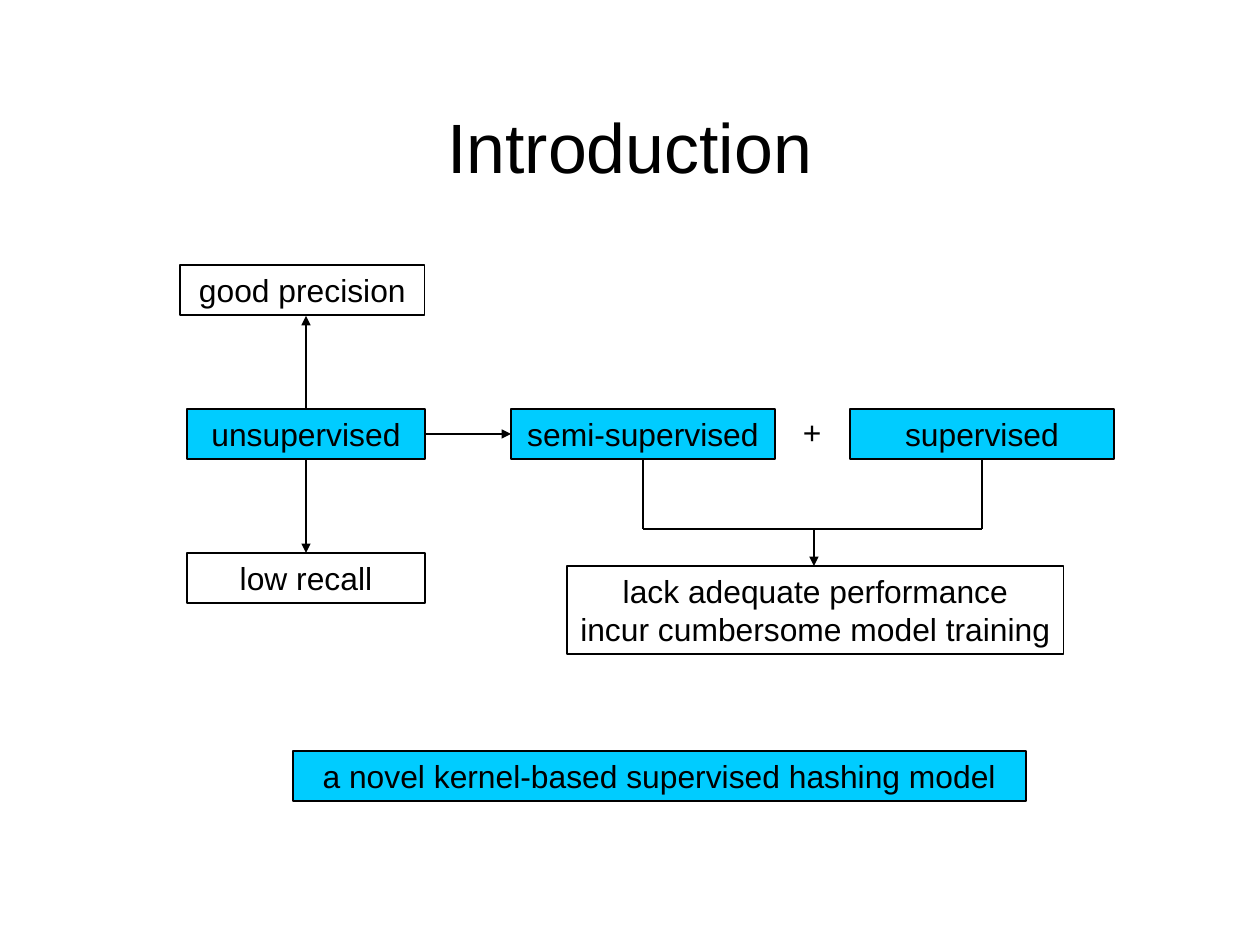
from lxml import etree
from pptx import Presentation
from pptx import util as u
from pptx.dml.color import RGBColor
from pptx.enum import shapes, text
from pptx.oxml import ns

PX = 8000
BLACK = RGBColor(0x00, 0x00, 0x00)
WHITE = RGBColor(0xFF, 0xFF, 0xFF)
CYAN = RGBColor(0x00, 0xCC, 0xFF)
TOP, LEFT, BOTTOM, RIGHT = range(4)


def px(*lengths):
    """Turn lengths in px into EMU."""
    return [u.Emu(length * PX) for length in lengths]


def write(shape, lines, size=20, align=text.PP_ALIGN.CENTER, insets=(11, 6, 11, 6)):
    """Write one paragraph for each line into a shape."""
    frame = shape.text_frame
    frame.word_wrap = False
    frame.vertical_anchor = text.MSO_ANCHOR.MIDDLE
    (frame.margin_left, frame.margin_top,
     frame.margin_right, frame.margin_bottom) = px(*insets)
    frame.text = "\n".join(lines)
    for paragraph in frame.paragraphs:
        paragraph.alignment = align
        paragraph.font.size = u.Pt(size)
        paragraph.font.name = "Arial"
        paragraph.font.color.rgb = BLACK


def add_label(slide, place, label, **style):
    """Add a text box with one line of text."""
    shape = slide.shapes.add_textbox(*px(*place))
    write(shape, [label], **style)
    return shape


def add_box(slide, place, *lines, fill=None):
    """Add an outlined rectangle with centred text."""
    shape = slide.shapes.add_shape(shapes.MSO_SHAPE.RECTANGLE, *px(*place))
    shape.shadow.inherit = False
    if fill is None:
        shape.fill.background()
    else:
        shape.fill.solid()
        shape.fill.fore_color.rgb = fill
    shape.line.color.rgb = BLACK
    shape.line.width = u.Pt(0.75)
    write(shape, lines)
    return shape


def add_line(slide, start=(0, 0), end=(0, 0), begin=None, finish=None, arrow=False):
    """Add a straight line between points or (box, side) joints."""
    line = slide.shapes.add_connector(shapes.MSO_CONNECTOR.STRAIGHT, *px(*start, *end))
    line.line.color.rgb = BLACK
    line.line.width = u.Pt(0.75)
    if begin:
        line.begin_connect(*begin)
    if finish:
        line.end_connect(*finish)
    if arrow:
        etree.SubElement(line.line._get_or_add_ln(), ns.qn("a:tailEnd"), type="triangle")
    etree.SubElement(line._element.spPr, ns.qn("a:effectLst"))


def main():
    """Build the introduction slide."""
    presentation = Presentation()
    presentation.slide_width, presentation.slide_height = px(1260, 945)
    slide = presentation.slides.add_slide(presentation.slide_layouts[6])
    slide.background.fill.solid()
    slide.background.fill.fore_color.rgb = WHITE

    title = add_label(slide, (63, 68, 1134, 158), "Introduction", size=44, insets=(0, 5, 0, 0))
    title.text_frame.paragraphs[0].line_spacing = 0.94

    add_box(slide, (180, 265, 245, 50), "good precision")
    unsupervised = add_box(slide, (187, 409, 238, 50), "unsupervised", fill=CYAN)
    low_recall = add_box(slide, (187, 553, 238, 50), "low recall")
    semi_supervised = add_box(slide, (511, 409, 264, 50), "semi-supervised", fill=CYAN)
    add_label(slide, (792, 407, 74, 50), "+", align=text.PP_ALIGN.LEFT)
    supervised = add_box(slide, (850, 409, 264, 50), "supervised", fill=CYAN)
    add_box(slide, (567, 566, 497, 88),
            "lack adequate performance", "incur cumbersome model training")
    add_box(slide, (293, 751, 733, 50),
            "a novel kernel-based supervised hashing model", fill=CYAN)

    add_line(slide, end=(306, 316), begin=(unsupervised, TOP), arrow=True)
    add_line(slide, begin=(unsupervised, BOTTOM), finish=(low_recall, TOP), arrow=True)
    add_line(slide, begin=(unsupervised, RIGHT), finish=(semi_supervised, LEFT), arrow=True)

    semi_x, supervised_x, bracket_y = 643, 982, 529
    add_line(slide, end=(semi_x, bracket_y), begin=(semi_supervised, BOTTOM))
    add_line(slide, end=(supervised_x, bracket_y), begin=(supervised, BOTTOM))
    add_line(slide, (semi_x, bracket_y), (supervised_x, bracket_y))
    add_line(slide, (814, bracket_y), (814, 566), arrow=True)

    presentation.save("out.pptx")


if __name__ == "__main__":
    main()
